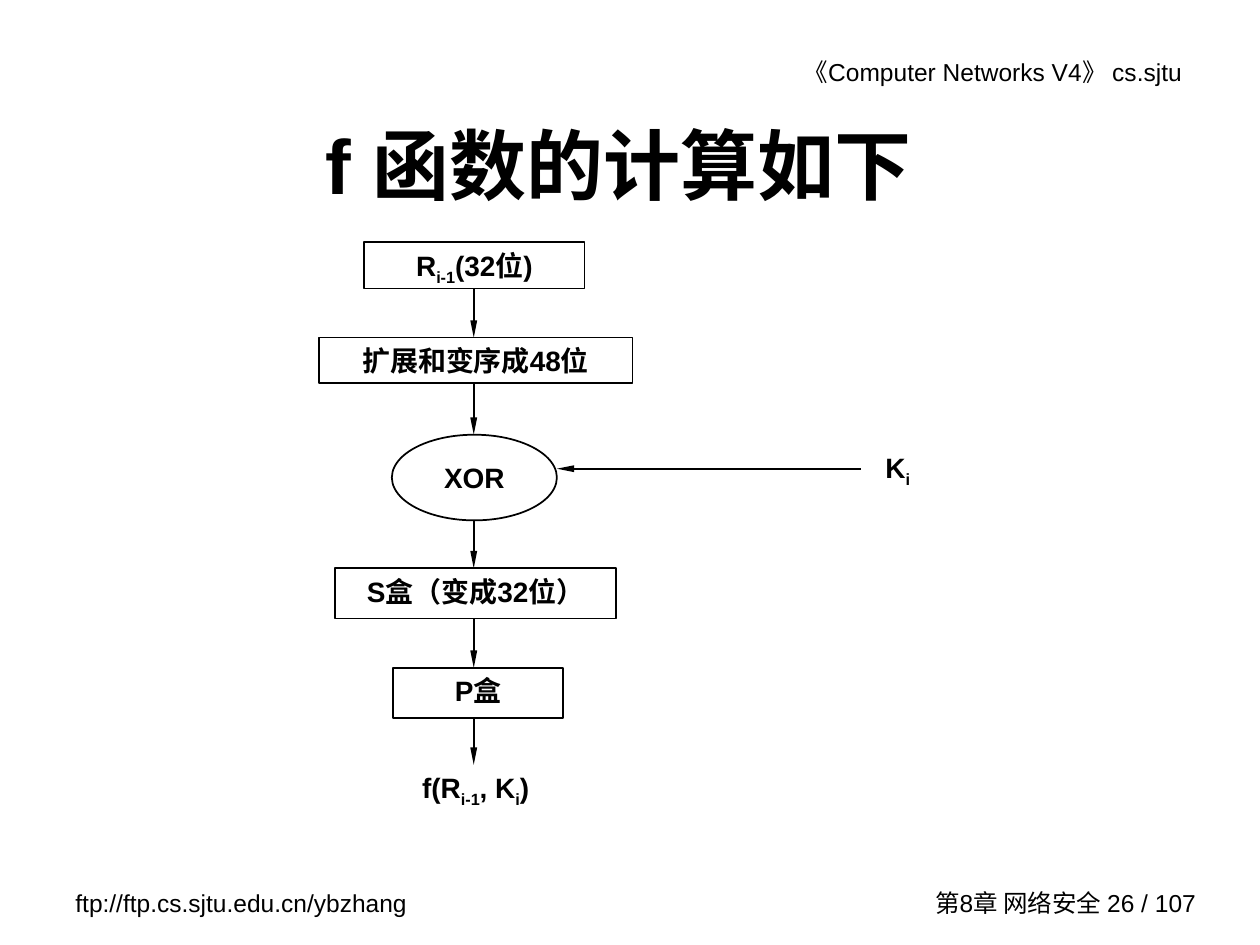
from itertools import pairwise

from lxml.etree import SubElement
from pptx import Presentation
from pptx.dml.color import RGBColor
from pptx.enum.shapes import MSO_CONNECTOR, MSO_SHAPE as SHAPE
from pptx.enum.text import MSO_ANCHOR as ANCHOR, PP_ALIGN as ALIGN
from pptx.oxml.ns import qn
from pptx.util import Inches, Pt

COLORS = {"ink": "000000"}
INK = RGBColor.from_string(COLORS["ink"])

prs = Presentation()
prs.slide_width, prs.slide_height = Inches(10), Inches(7.5)
slide = prs.slides.add_slide(prs.slide_layouts[6])


def add_label(place, parts, size=16, bold=True, align=ALIGN.CENTER,
              anchor=ANCHOR.TOP, outline=None, right_inset=0.1):
    """Add text at place; every second item of parts is a subscript."""
    box = [Inches(value) for value in place]
    if outline is None:
        label = slide.shapes.add_textbox(*box)
    else:
        label = slide.shapes.add_shape(outline, *box)
        label.shadow.inherit = False
        label.fill.background()
        label.line.color.rgb = INK
        label.line.width = Pt(1)
    frame = label.text_frame
    frame.word_wrap = True
    frame.vertical_anchor = anchor
    frame.margin_left, frame.margin_right = Inches(0.1), Inches(right_inset)
    frame.margin_top = frame.margin_bottom = Inches(0.05)
    paragraph = frame.paragraphs[0]
    paragraph.alignment = align
    for index, part in enumerate(parts):
        run = paragraph.add_run()
        run.text = part
        run.font.name = "Arial"
        run.font.size = Pt(size)
        run.font.bold = bold
        run.font.color.rgb = INK
        if index % 2:
            run.font._element.set("baseline", "-25000")


def add_arrow(x1, y1, x2, y2):
    arrow = slide.shapes.add_connector(
        MSO_CONNECTOR.STRAIGHT, Inches(x1), Inches(y1), Inches(x2), Inches(y2))
    arrow.line.color.rgb = INK
    arrow.line.width = Pt(1)
    SubElement(arrow.line._get_or_add_ln(), qn("a:tailEnd"),
               type="triangle", w="sm", len="lg")
    SubElement(arrow._element.spPr, qn("a:effectLst"))


# Header, footer and title
add_label((5.22, 0.4, 4.36, 0.34), ["《Computer Networks V4》 cs.sjtu"],
          size=14, bold=False, align=ALIGN.RIGHT, right_inset=0.2)
add_label((0.5, 7, 2.92, 0.34), ["ftp://ftp.cs.sjtu.edu.cn/ybzhang"],
          size=14, bold=False, align=ALIGN.LEFT)
add_label((7.18, 7, 2.41, 0.33), ["第8章 网络安全 26 / 107"],
          size=14, bold=False, align=ALIGN.RIGHT, anchor=ANCHOR.MIDDLE)
add_label((0.75, 0.67, 8.5, 1.25), ["f 函数的计算如下"],
          size=44, anchor=ANCHOR.MIDDLE, right_inset=0.27)

# Steps of the f function, from input to result
steps = [
    ((2.89, 1.92, 1.75, 0.37), ["R", "i-1", "(32位)"], SHAPE.RECTANGLE),
    ((2.53, 2.68, 2.49, 0.36), ["扩展和变序成48位"], SHAPE.RECTANGLE),
    ((3.11, 3.45, 1.31, 0.68), ["XOR"], SHAPE.OVAL),
    ((2.66, 4.51, 2.23, 0.4), ["S盒（变成32位）"], SHAPE.RECTANGLE),
    ((3.12, 5.3, 1.35, 0.4), ["P盒"], SHAPE.RECTANGLE),
    ((3.12, 6.07, 1.31, 0.37), ["f(R", "i-1", ", K", "i", ")"], None),
]
for place, parts, outline in steps:
    anchor = ANCHOR.MIDDLE if outline == SHAPE.OVAL else ANCHOR.TOP
    add_label(place, parts, anchor=anchor, outline=outline)

flow_x = 3.76
for (upper, *_), (lower, *_) in pairwise(steps):
    add_arrow(flow_x, upper[1] + upper[3], flow_x, lower[1])

# Round key entering the XOR
add_label((6.8, 3.53, 0.65, 0.42), ["K", "i"])
add_arrow(6.83, 3.72, 4.42, 3.72)

prs.save("out.pptx")
